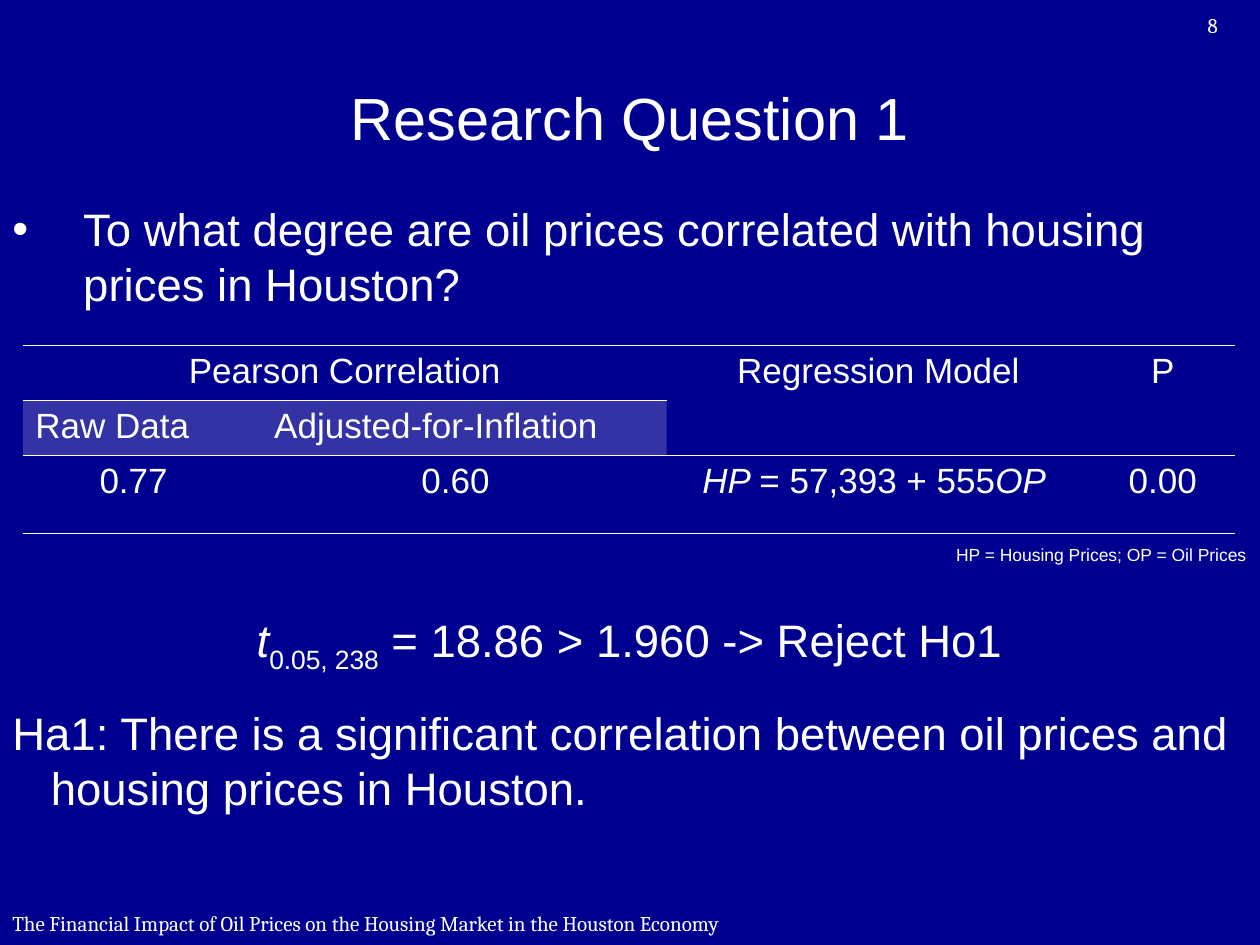
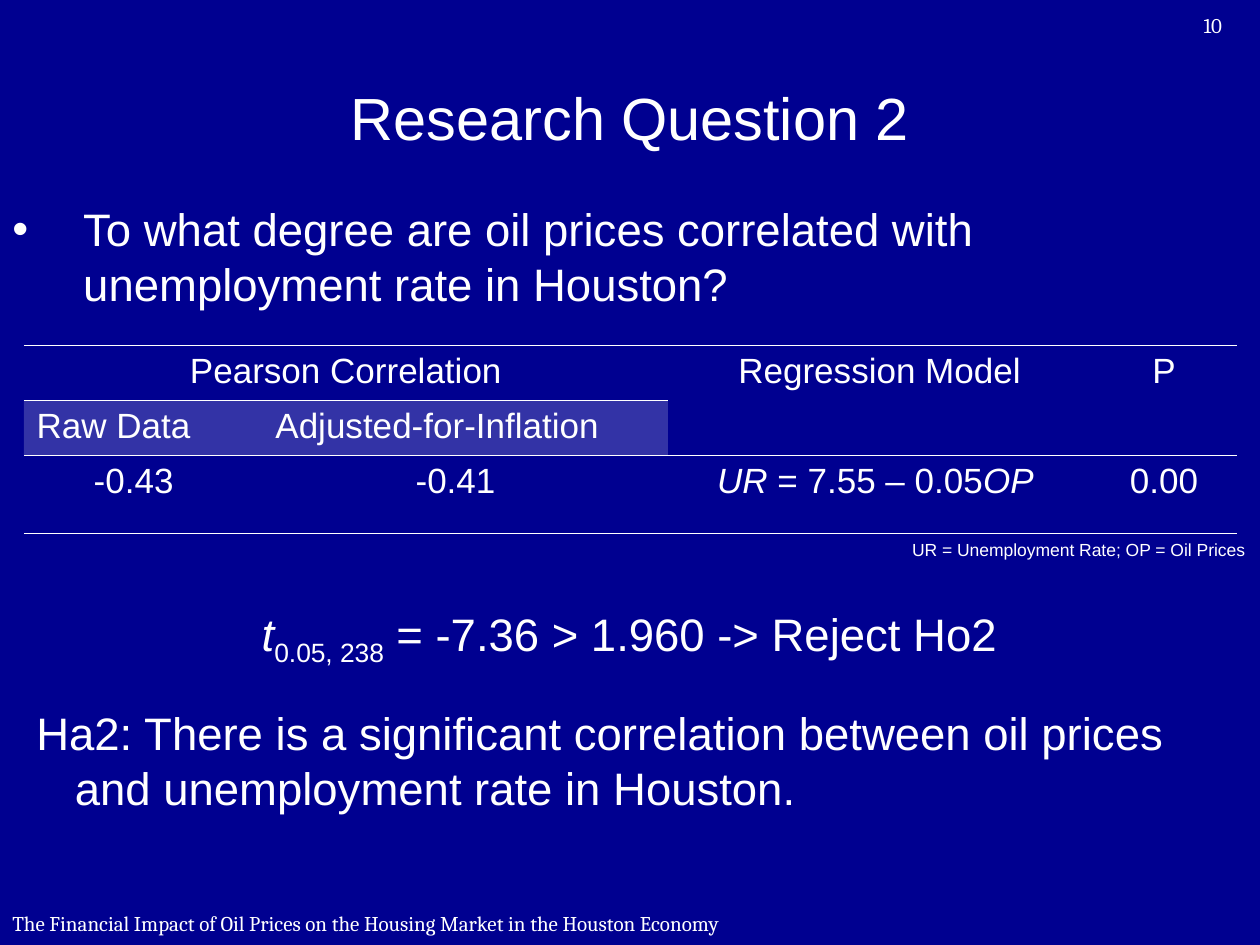
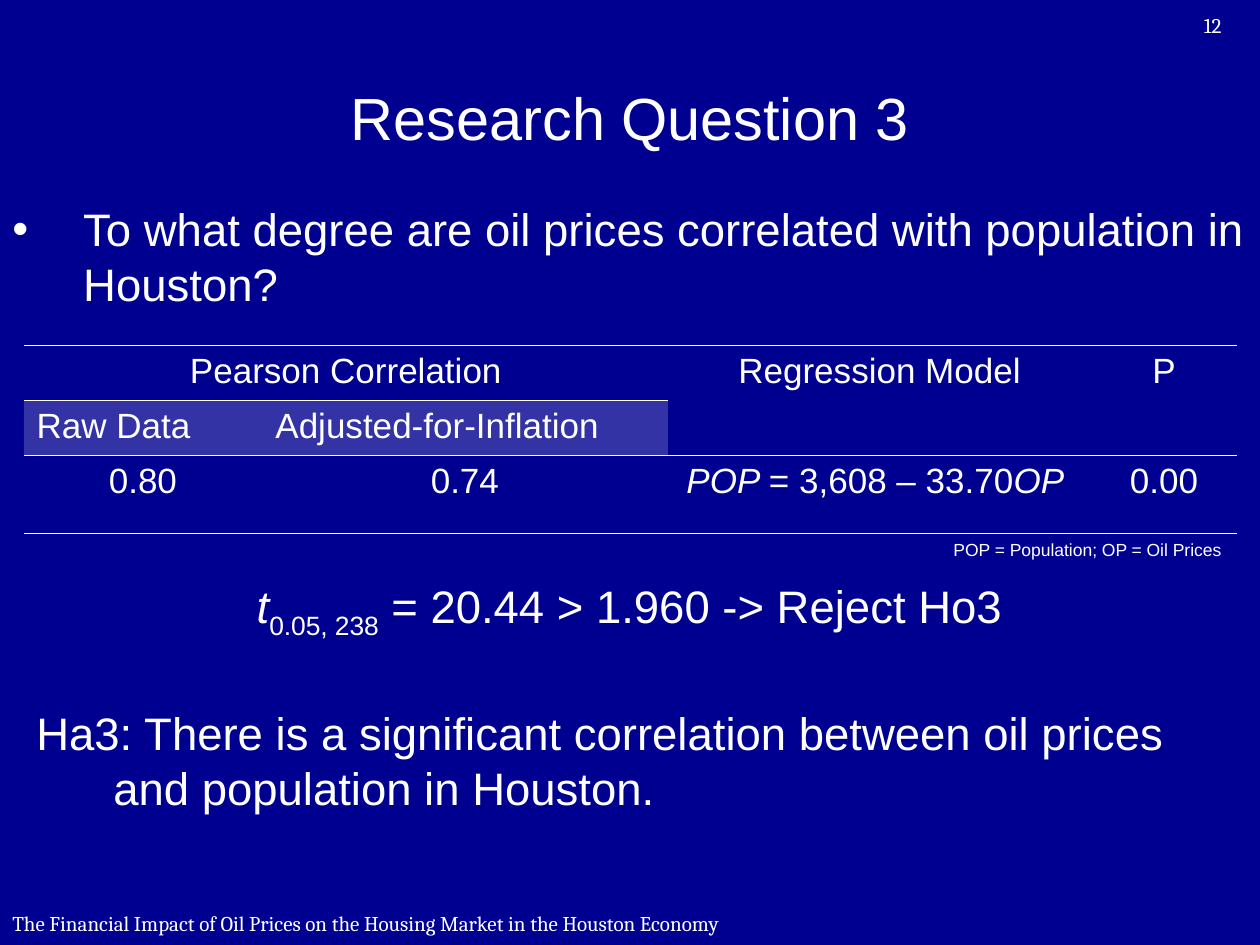
from dataclasses import dataclass

from lxml import etree
from pptx import Presentation
from pptx.dml.color import RGBColor
from pptx.enum.text import MSO_ANCHOR, PP_ALIGN
from pptx.oxml.ns import qn
from pptx.util import Pt

LEFT, CENTER = PP_ALIGN.LEFT, PP_ALIGN.CENTER
TOP, MIDDLE = MSO_ANCHOR.TOP, MSO_ANCHOR.MIDDLE
PLAIN, ITALIC, SUBSCRIPT = "plain", "italic", "subscript"
NO_GRID_STYLE = "{2D5ABB26-0587-4C30-8999-92F81FD0307C}"


@dataclass(frozen=True)
class Theme:
    background: RGBColor = RGBColor(0x00, 0x00, 0x90)
    ink: RGBColor = RGBColor(0xFF, 0xFF, 0xFF)
    body_font: str = "Arial"
    footer_font: str = "Cambria"
    title_size: float = 34
    body_size: float = 26
    table_size: float = 20
    footer_size: float = 12
    note_size: float = 10
    rule_width: float = 0.45
    band_alpha: int = 20000


THEME = Theme()
FOOTER = "The Financial Impact of Oil Prices on the Housing Market in the Houston Economy"
ROW_HEIGHTS = (31.5, 31.5, 44.6)
CORRELATION_WIDTH, MODEL_WIDTH, P_WIDTH = 368, 242, 83
ADJUSTED_TAB = 136.5

QUESTIONS = [
    dict(page="8", topic="housing prices", raw="0.77", adjusted="0.60",
         model=("HP ", "= 57,393 + 555"), note="HP = Housing Prices; OP = Oil Prices",
         t_value="18.86", table_left=13, raw_width=126.7, note_box=(539.3, 307.4, 180.7, 19.4),
         verdict_top=346.3, finding_box=(0, 399.6, 720, 69.8), finding_hang=22),
    dict(page="10", topic="unemployment rate", raw="-0.43", adjusted="-0.41",
         model=("UR ", "= 7.55 – 0.05"), note="UR = Unemployment Rate; OP = Oil Prices",
         t_value="-7.36", table_left=13.7, raw_width=125.3, note_box=(514.1, 304.6, 204.5, 19.4),
         verdict_top=342.7, finding_box=(13.7, 399.6, 693.4, 69.8), finding_hang=22),
    dict(page="12", topic="population", raw="0.80", adjusted="0.74",
         model=("POP ", "= 3,608 – 33.70"), note="POP = Population; OP = Oil Prices",
         t_value="20.44", table_left=13.7, raw_width=136, note_box=(537.8, 304.6, 167.8, 19.4),
         verdict_top=326.9, finding_box=(13.7, 399.6, 693.4, 69.8), finding_hang=44),
]


def write(frame, parts, size, font=THEME.body_font, align=LEFT):
    """Fill the first paragraph with (text, style) parts and return it."""
    paragraph = frame.paragraphs[0]
    paragraph.alignment = align
    for text, style in parts:
        run = paragraph.add_run()
        run.text = text
        run.font.size = Pt(size)
        run.font.name = font
        run.font.color.rgb = THEME.ink
        run.font.italic = style == ITALIC
        if style == SUBSCRIPT:
            run._r.get_or_add_rPr().set("baseline", "-25000")
    return paragraph


def add_text(slide, box, parts, size, font=THEME.body_font, align=LEFT,
             anchor=TOP, hang=0, wrap=True):
    """Add a text box whose lines after the first are indented by hang."""
    frame = slide.shapes.add_textbox(*map(Pt, box)).text_frame
    frame.word_wrap = wrap
    frame.vertical_anchor = anchor
    paragraph = write(frame, parts, size, font, align)
    if hang:
        properties = paragraph._p.get_or_add_pPr()
        properties.set("marL", str(Pt(hang)))
        properties.set("indent", str(-Pt(hang)))
    return paragraph


prs = Presentation()
prs.slide_width, prs.slide_height = Pt(720), Pt(540)
master_fill = prs.slide_master.background.fill
master_fill.solid()
master_fill.fore_color.rgb = THEME.background

for number, question in enumerate(QUESTIONS, start=1):
    slide = prs.slides.add_slide(prs.slide_layouts[5])
    topic = question["topic"]

    title = slide.shapes.title
    title.left, title.top, title.width, title.height = map(Pt, (36, 21.6, 648, 90))
    title.text_frame.vertical_anchor = MIDDLE
    write(title.text_frame, [(f"Research Question {number}", PLAIN)],
          THEME.title_size, align=CENTER)

    # Question, with its bullet
    asked = add_text(
        slide, (0, 111.6, 720, 69.8),
        [(f"To what degree are oil prices correlated with {topic} in Houston?", PLAIN)],
        THEME.body_size, hang=40.5)
    properties = asked._p.get_or_add_pPr()
    bullet_color = etree.SubElement(properties, qn("a:buClr"))
    etree.SubElement(bullet_color, qn("a:srgbClr"), val=str(THEME.ink))
    etree.SubElement(properties, qn("a:buFont"), typeface=THEME.body_font)
    etree.SubElement(properties, qn("a:buChar"), char="•")

    # Results table
    widths = (question["raw_width"], CORRELATION_WIDTH - question["raw_width"],
              MODEL_WIDTH, P_WIDTH)
    results = slide.shapes.add_table(
        3, 4, Pt(question["table_left"]), Pt(197.3),
        Pt(sum(widths)), Pt(sum(ROW_HEIGHTS))).table
    results.first_row = results.horz_banding = False
    results._tbl.tblPr.find(qn("a:tableStyleId")).text = NO_GRID_STYLE
    for column, width in zip(results.columns, widths):
        column.width = Pt(width)
    for row, height in zip(results.rows, ROW_HEIGHTS):
        row.height = Pt(height)

    for r in range(3):
        for c in range(4):
            cell = results.cell(r, c)
            # Rules run above the headings, above each second level, and below the values
            edges = []
            if r == 0 or (r == 1 and c < 2) or (r == 2 and c >= 2):
                edges.append("a:lnT")
            if r == 2:
                edges.append("a:lnB")
            for edge in edges:
                rule = etree.SubElement(cell._tc.get_or_add_tcPr(), qn(edge),
                                        w=str(Pt(THEME.rule_width)))
                rule_fill = etree.SubElement(rule, qn("a:solidFill"))
                etree.SubElement(rule_fill, qn("a:srgbClr"), val=str(THEME.ink))
            if r == 1 and c < 2:
                cell.fill.solid()
                cell.fill.fore_color.rgb = THEME.ink
                band_color = cell._tc.tcPr.find(".//" + qn("a:srgbClr"))
                band_color = cell._tc.tcPr.find(qn("a:solidFill")).find(qn("a:srgbClr"))
                etree.SubElement(band_color, qn("a:alpha"), val=str(THEME.band_alpha))
            else:
                cell.fill.background()

    for first, last in (((0, 0), (0, 1)), ((1, 0), (1, 1)),
                        ((0, 2), (1, 2)), ((0, 3), (1, 3))):
        results.cell(*first).merge(results.cell(*last))

    variable, formula = question["model"]
    entries = {
        (0, 0): [("Pearson Correlation", PLAIN)],
        (0, 2): [("Regression Model", PLAIN)],
        (0, 3): [("P", PLAIN)],
        (2, 0): [(question["raw"], PLAIN)],
        (2, 1): [(question["adjusted"], PLAIN)],
        (2, 2): [(variable, ITALIC), (formula, PLAIN), ("OP ", ITALIC)],
        (2, 3): [("0.00", PLAIN)],
    }
    for position, parts in entries.items():
        write(results.cell(*position).text_frame, parts, THEME.table_size, align=CENTER)
    subheads = write(results.cell(1, 0).text_frame,
                     [("Raw Data\tAdjusted-for-Inflation", PLAIN)], THEME.table_size)
    tabs = etree.SubElement(subheads._p.get_or_add_pPr(), qn("a:tabLst"))
    etree.SubElement(tabs, qn("a:tab"), pos=str(Pt(ADJUSTED_TAB)), algn="l")

    add_text(slide, question["note_box"], [(question["note"], PLAIN)],
             THEME.note_size, wrap=False)

    # Test result and accepted hypothesis
    add_text(slide, (36, question["verdict_top"], 648, 74.2),
             [("t", ITALIC), ("0.05, 238", SUBSCRIPT),
              (f" = {question['t_value']} > 1.960 -> Reject Ho{number}", PLAIN)],
             THEME.body_size, align=CENTER)
    add_text(slide, question["finding_box"],
             [(f"Ha{number}: There is a significant correlation between oil prices "
               f"and {topic} in Houston.", PLAIN)],
             THEME.body_size, hang=question["finding_hang"])

    add_text(slide, (666, 0, 54, 28.8), [(question["page"], PLAIN)],
             THEME.footer_size, THEME.footer_font, CENTER, MIDDLE)
    add_text(slide, (0, 511.2, 455.8, 32.4), [(FOOTER, PLAIN)],
             THEME.footer_size, THEME.footer_font, anchor=MIDDLE)

prs.save("out.pptx")
